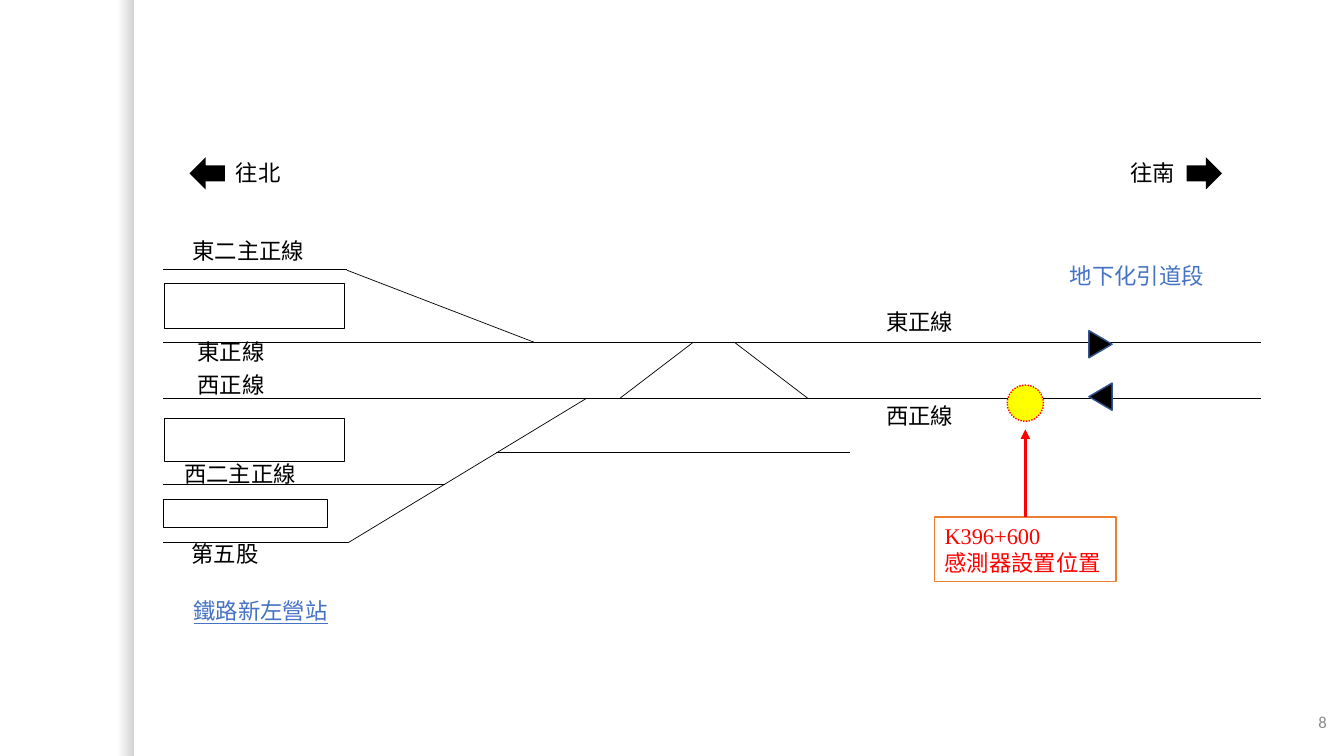
from dataclasses import dataclass, field
from typing import Any, Optional

import pptx
import pptx.dml.color
import pptx.enum.dml
import pptx.enum.shapes
import pptx.enum.text
import pptx.oxml
import pptx.oxml.ns
import pptx.util

Inches = pptx.util.Inches
Shapes = pptx.enum.shapes.MSO_SHAPE
Align = pptx.enum.text.PP_ALIGN
Anchor = pptx.enum.text.MSO_ANCHOR

BLACK, WHITE, RED, YELLOW = "000000", "FFFFFF", "FF0000", "FFFF00"
BLUE, NAVY, ORANGE, GREY = "4472C4", "325491", "ED7D31", "8C8C8C"
CJK, LATIN = "Noto Sans CJK SC", "Times New Roman"
EAST_Y, WEST_Y = 3.4, 3.95
TRACK_LEFT, TRACK_RIGHT = 1.62, 12.51
SENSOR_X = 10.17
THIN = 0.5


@dataclass
class Box:
    left: float
    top: float
    width: float
    height: float
    kind: Any = Shapes.RECTANGLE
    fill: Optional[str] = None
    line: Optional[str] = None
    weight: float = 1
    rotation: float = 0


@dataclass
class Track:
    x1: float
    y1: float
    x2: float
    y2: float


@dataclass
class Label:
    text: str
    left: float
    top: float
    width: float
    height: float = 0.37
    align: Any = Align.LEFT
    anchor: Any = Anchor.TOP
    color: str = BLACK
    font: dict = field(default_factory=dict)


PLATFORMS = [
    Box(1.62, 4.95, 1.63, 0.28, line=BLACK, weight=THIN),
    Box(1.63, 2.81, 1.79, 0.45, line=BLACK, weight=THIN),
    Box(1.63, 4.15, 1.79, 0.43, line=BLACK, weight=THIN),
]

TRACKS = [
    Track(TRACK_LEFT, WEST_Y, TRACK_RIGHT, WEST_Y),
    Track(TRACK_LEFT, EAST_Y, TRACK_RIGHT, EAST_Y),
    Track(TRACK_LEFT, 2.67, 3.44, 2.67),
    Track(3.44, 2.68, 5.31, EAST_Y),
    Track(TRACK_LEFT, 4.81, 4.41, 4.81),
    Track(TRACK_LEFT, 5.38, 3.46, 5.38),
    Track(3.46, 5.38, 5.82, WEST_Y),
    Track(4.92, 4.49, 8.43, 4.49),
    Track(6.15, WEST_Y, 6.87, EAST_Y),
    Track(8.01, WEST_Y, 7.29, EAST_Y),
]

LABELS = [
    Label("東正線", 1.86, 3.31, 1.02),
    Label("西正線", 1.86, 3.63, 1.02),
    Label("東二主正線", 1.81, 2.3, 1.42),
    Label("西二主正線", 1.73, 4.52, 1.42),
    Label("第五股", 1.8, 5.31, 1.42),
    Label("往北", 2.24, 1.53, 0.81),
    Label("往南", 11.11, 1.53, 0.81),
    Label("東正線", 8.69, 3.01, 1.02),
    Label("西正線", 8.69, 3.94, 1.02),
    Label("地下化引道段", 10.37, 2.55, 1.81, align=Align.CENTER, color=BLUE),
    Label("鐵路新左營站", 1.68, 5.88, 1.81, align=Align.CENTER, color=BLUE,
          font={"underline": True}),
    Label("8", 12.46, 6.88, 0.8, 0.57, Align.RIGHT, Anchor.MIDDLE, GREY,
          {"name": "Calibri", "size": pptx.util.Pt(12)}),
]

MARKERS = [
    Box(1.88, 1.56, 0.35, 0.32, Shapes.LEFT_ARROW, BLACK),
    Box(11.77, 1.56, 0.35, 0.32, Shapes.RIGHT_ARROW, BLACK),
    Box(10.78, 3.82, 0.27, 0.23, Shapes.ISOSCELES_TRIANGLE, BLACK, NAVY, rotation=270),
    Box(10.78, 3.3, 0.27, 0.23, Shapes.ISOSCELES_TRIANGLE, BLACK, NAVY, rotation=90),
]


def rgb(value: str) -> pptx.dml.color.RGBColor:
    return pptx.dml.color.RGBColor.from_string(value)


def add_child(parent: Any, tag: str, **attributes: str) -> None:
    element = pptx.oxml.parse_xml(f"<{tag} {pptx.oxml.ns.nsdecls('a')}/>")
    for name, value in attributes.items():
        element.set(name, value)
    parent.append(element)


def draw_box(slide: Any, box: Box) -> Any:
    shape = slide.shapes.add_shape(
        box.kind, *map(Inches, (box.left, box.top, box.width, box.height)))
    shape.shadow.inherit = False
    shape.rotation = box.rotation
    if box.fill:
        shape.fill.solid()
        shape.fill.fore_color.rgb = rgb(box.fill)
    else:
        shape.fill.background()
    if box.line:
        shape.line.color.rgb = rgb(box.line)
        shape.line.width = pptx.util.Pt(box.weight)
    else:
        shape.line.fill.background()
    return shape


def draw_line(slide: Any, track: Track, color: str = BLACK, weight: float = THIN) -> Any:
    connector = slide.shapes.add_connector(
        pptx.enum.shapes.MSO_CONNECTOR.STRAIGHT,
        *map(Inches, (track.x1, track.y1, track.x2, track.y2)))
    connector.line.color.rgb = rgb(color)
    connector.line.width = pptx.util.Pt(weight)
    add_child(connector._element.spPr, "a:effectLst")
    return connector


def add_run(paragraph: Any, text: str, color: str, **font: Any) -> None:
    run = paragraph.add_run()
    run.text = text
    for name, value in ({"name": CJK, "size": pptx.util.Pt(16)} | font).items():
        setattr(run.font, name, value)
    run.font.color.rgb = rgb(color)
    add_child(run._r.get_or_add_rPr(), "a:ea", typeface=run.font.name)


def draw_label(slide: Any, label: Label) -> None:
    frame = slide.shapes.add_textbox(
        *map(Inches, (label.left, label.top, label.width, label.height))).text_frame
    frame.word_wrap = True
    frame.vertical_anchor = label.anchor
    frame.paragraphs[0].alignment = label.align
    add_run(frame.paragraphs[0], label.text, label.color, **label.font)


def draw_side_shadow(slide: Any) -> None:
    shadow = draw_box(slide, Box(1.17, 0, 0.16, 7.5))
    shadow.fill.gradient()
    shadow.fill.gradient_angle = 0
    for stop, alpha in zip(shadow.fill.gradient_stops, ("0", "20000")):
        stop.color.rgb = rgb("000014")
    for color, alpha in zip(shadow._element.spPr.iter(pptx.oxml.ns.qn("a:srgbClr")),
                            ("0", "20000")):
        add_child(color, "a:alpha", val=alpha)


def draw_sensor(slide: Any) -> None:
    callout = draw_box(slide, Box(9.27, 5.13, 1.8, 0.64, fill=WHITE, line=ORANGE))
    frame = callout.text_frame
    frame.word_wrap = True
    frame.vertical_anchor = Anchor.TOP
    paragraph = frame.paragraphs[0]
    paragraph.alignment = Align.LEFT
    add_run(paragraph, "K396+600", RED, name=LATIN)
    paragraph.add_line_break()
    add_run(paragraph, "感測器設置位置", RED)
    arrow = draw_line(slide, Track(SENSOR_X, 5.13, SENSOR_X, 4.26), RED, 2.25)
    arrow.begin_connect(callout, 0)
    add_child(arrow.line._get_or_add_ln(), "a:tailEnd", type="triangle")
    sensor = draw_box(slide, Box(9.99, 3.82, 0.36, 0.36, Shapes.OVAL, YELLOW, RED))
    sensor.line.dash_style = pptx.enum.dml.MSO_LINE.ROUND_DOT


def main() -> None:
    presentation = pptx.Presentation()
    presentation.slide_width, presentation.slide_height = Inches(13.33), Inches(7.5)
    slide = presentation.slides.add_slide(presentation.slide_layouts[6])
    draw_side_shadow(slide)
    draw_box(slide, Box(1.33, 0, 12, 7.5, fill=WHITE))
    for platform in PLATFORMS:
        draw_box(slide, platform)
    for track in TRACKS:
        draw_line(slide, track)
    for label in LABELS:
        draw_label(slide, label)
    draw_sensor(slide)
    for marker in MARKERS:
        draw_box(slide, marker)
    presentation.save("out.pptx")


if __name__ == "__main__":
    main()
